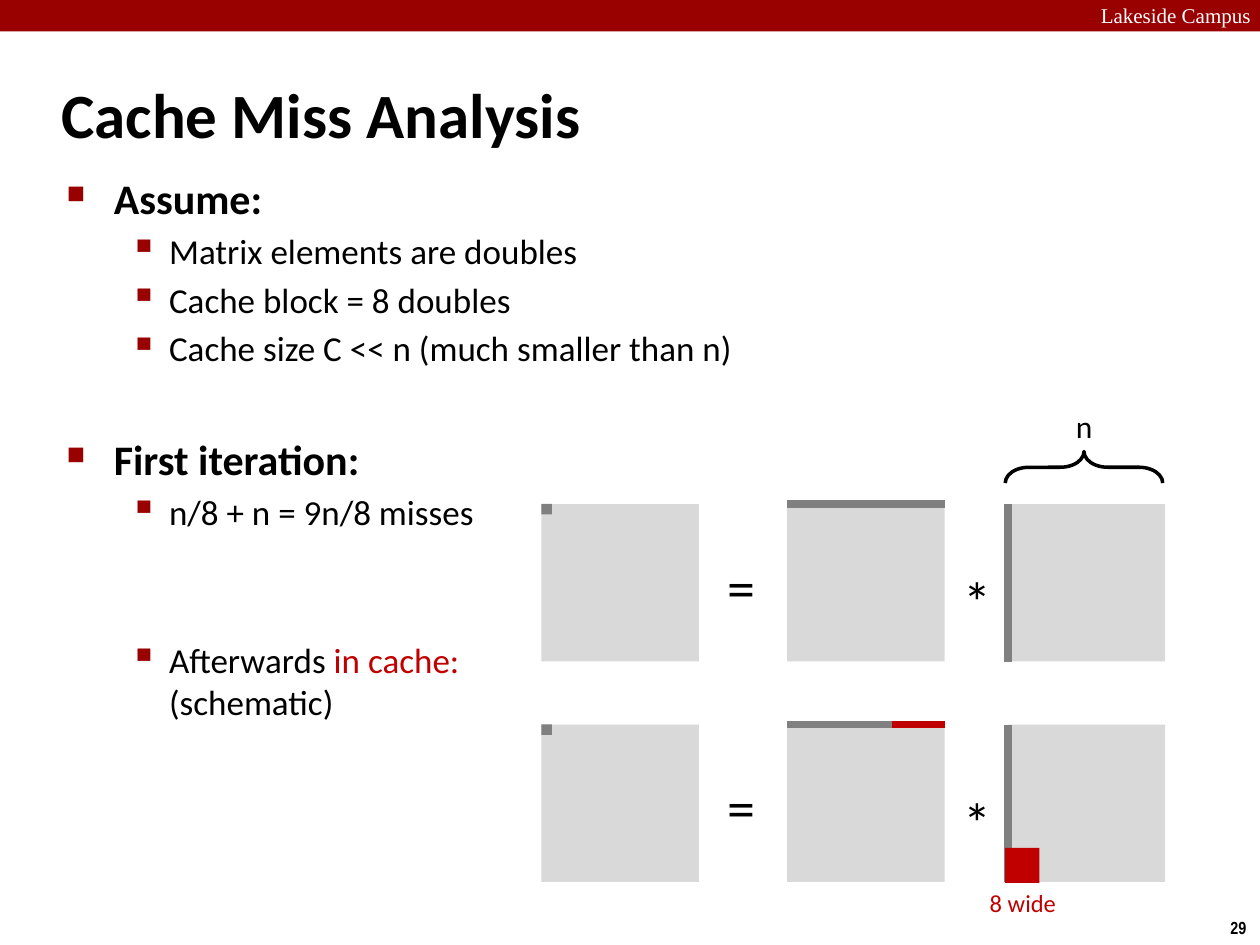
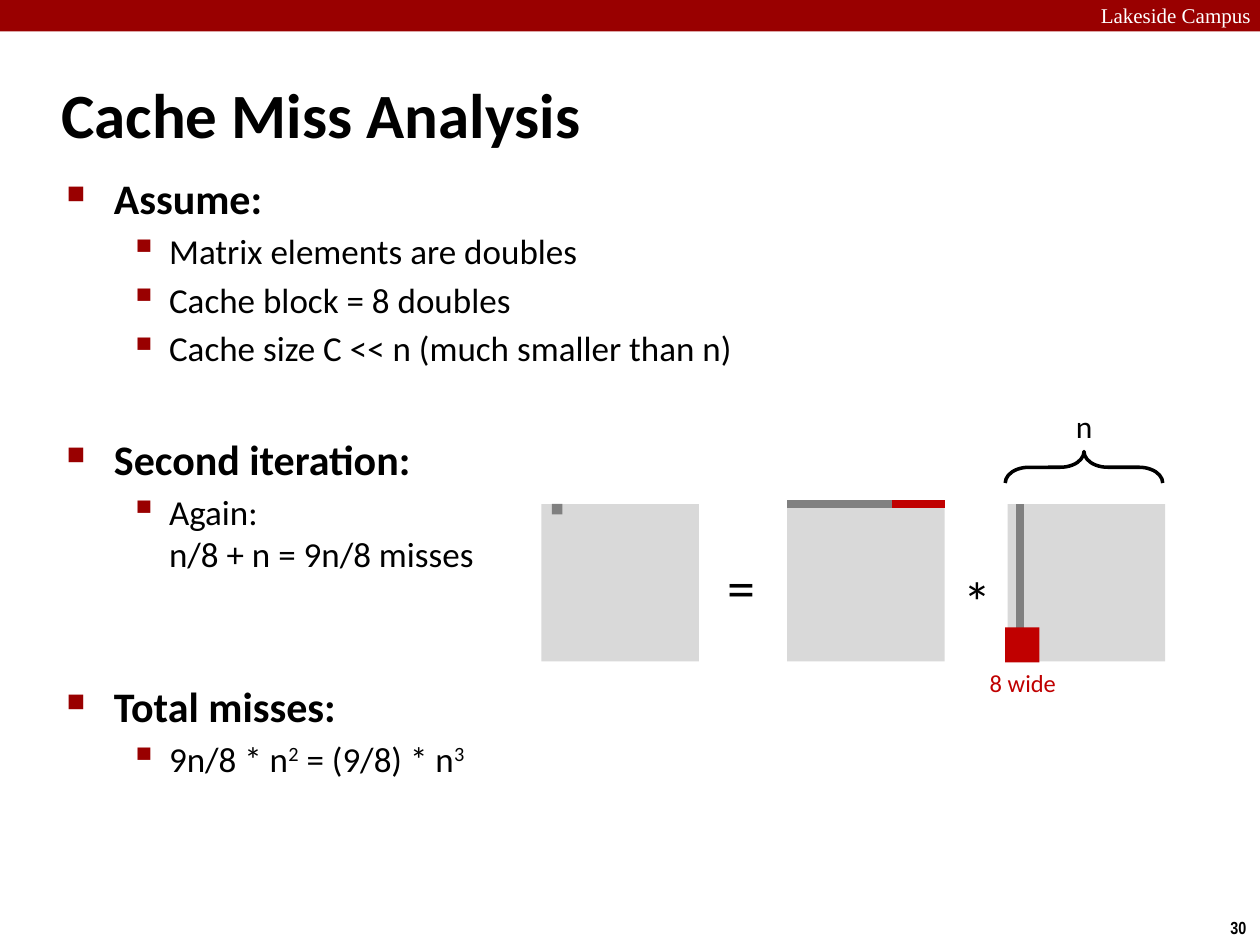
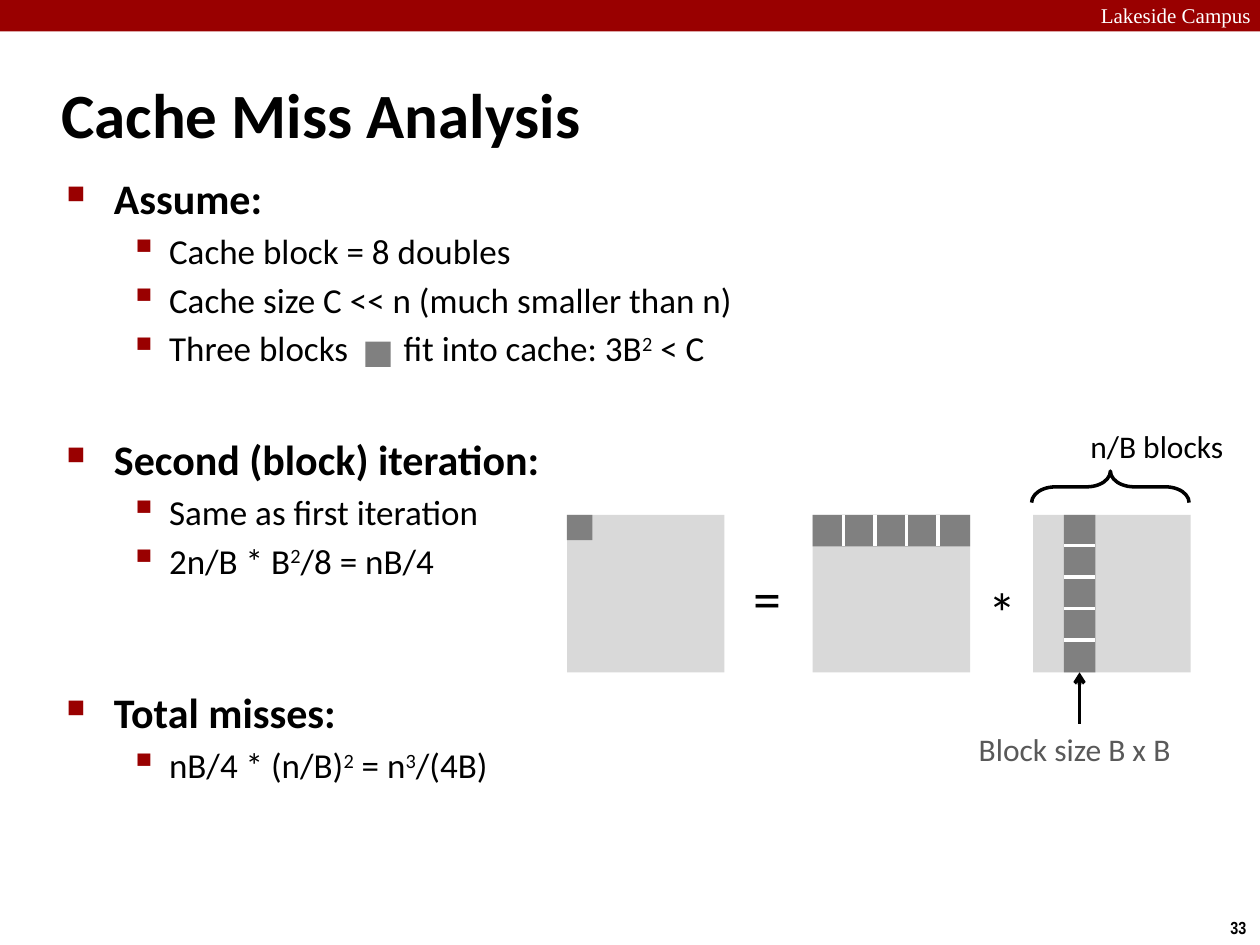
from lxml.etree import SubElement
from pptx import Presentation
from pptx.dml.color import RGBColor
from pptx.enum.shapes import MSO_CONNECTOR, MSO_SHAPE
from pptx.enum.text import MSO_ANCHOR
from pptx.oxml.ns import qn
from pptx.util import Pt

BAND, BLACK, WHITE = "990000", "000000", "FFFFFF"
MATRIX, ACCESSED, CACHED, CAPTION = "D9D9D9", "808080", "C00000", "595959"
SIDE = 90                      # side of a matrix
FACTOR_1, FACTOR_2 = 140.4, 266.4    # offsets of the two factors from the result
BLOCK = 18                     # side of a block in the blocked version
LEAD = 3.8                     # space before an ordinary paragraph
SECTION, SKIP = 37, 60.2       # space before a new section, and after a skipped region

# level: (left margin, hanging, size, bold, bullet, bullet size in percent)
LEVELS = [(27, 27, 24, True, "■", 60), (58.5, 22.5, 20, False, "▪", 110)]

BREAK = ("\v", "break")
SQUARED, CUBED = ("2", "sup"), ("3", "sup")
KEY_GAP = (" ", "gap")


def rgb(color):
    return RGBColor.from_string(color)


def style(r, size, color=BLACK, bold=False, font="Calibri"):
    r.font.name, r.font.size, r.font.bold = font, Pt(size), bold
    r.font.color.rgb = rgb(color)


def add_text(s, text, x, y, w, h, size, wrap=False, **look):
    tf = s.shapes.add_textbox(Pt(x), Pt(y), Pt(w), Pt(h)).text_frame
    tf.word_wrap = wrap
    tf.text = text
    style(tf.paragraphs[0].runs[0], size, **look)
    return tf


def add_rect(s, x, y, w, h, color):
    sp = s.shapes.add_shape(MSO_SHAPE.RECTANGLE, Pt(x), Pt(y), Pt(w), Pt(h))
    sp.shadow.inherit = False
    sp.fill.solid()
    sp.fill.fore_color.rgb = rgb(color)
    sp.line.fill.background()
    return sp


def add_line(s, x1, y1, x2, y2, color, width):
    line = s.shapes.add_connector(MSO_CONNECTOR.STRAIGHT, Pt(x1), Pt(y1), Pt(x2), Pt(y2))
    line.line.color.rgb = rgb(color)
    line.line.width = Pt(width)
    SubElement(line._element.spPr, qn("a:effectLst"))
    return line


def frame(prs, number):
    """Add a slide with the band, the page number and the title."""
    s = prs.slides.add_slide(prs.slide_layouts[6])
    add_rect(s, 0, 0, 720, 18, BAND)
    add_text(s, "Lakeside Campus", 622, -2, 103, 22, 12, wrap=True,
             color=WHITE, font="Times New Roman")
    add_text(s, str(number), 696, 520.5, 24.5, 19.5, 10, bold=True, font="Arial Narrow")
    title = add_text(s, "Cache Miss Analysis", 28, 34.5, 598, 60, 36, wrap=True, bold=True)
    title.vertical_anchor = MSO_ANCHOR.MIDDLE
    return s


def add_bullet(p, level, gap):
    margin, hanging, _, _, char, percent = LEVELS[level]
    p.level = level
    p.space_before = Pt(gap)
    pPr = p._p.get_or_add_pPr()
    pPr.set("marL", str(Pt(margin)))
    pPr.set("indent", str(-Pt(hanging)))
    SubElement(SubElement(pPr, qn("a:buClr")), qn("a:srgbClr"), val=BAND)
    SubElement(pPr, qn("a:buSzPct"), val=str(percent * 1000))
    SubElement(pPr, qn("a:buChar"), char=char)


def add_part(p, part, level):
    """Add a plain string, or a (text, kind) pair, to a paragraph."""
    text, kind = (part, "") if isinstance(part, str) else part
    if kind == "break":
        p.add_line_break()
        return
    r = p.add_run()
    r.text = text
    _, _, size, bold, _, _ = LEVELS[level]
    style(r, size, CACHED if kind == "cached" else BLACK, bold)
    if kind == "sup":
        r._r.get_or_add_rPr().set("baseline", "30000")
    elif kind == "gap":
        r._r.get_or_add_rPr().set("spc", "2710")


def outline(s, items):
    """Fill the body with (level, space before, parts...) items."""
    tf = s.shapes.add_textbox(Pt(31), Pt(95), Pt(622), Pt(240)).text_frame
    tf.word_wrap = True
    for i, (level, gap, *parts) in enumerate(items):
        p = tf.add_paragraph() if i else tf.paragraphs[0]
        add_bullet(p, level, gap)
        for part in parts:
            add_part(p, part, level)


def product(s, x, y):
    """Three matrices: result = factor * factor."""
    for dx in (0, FACTOR_1, FACTOR_2):
        add_rect(s, x + dx, y, SIDE, SIDE, MATRIX)
    add_text(s, "=", x + 99.4, y + 24, 31, 46, 32)
    add_text(s, "*", x + 234, y + 32.4, 31, 46, 32)


def brace(s, x, y, label, label_x, label_w):
    """Brace over a matrix; x, y is the left top corner as it is seen."""
    depth = 18
    turn = (SIDE - depth) / 2
    sp = s.shapes.add_shape(MSO_SHAPE.LEFT_BRACE, Pt(x + turn), Pt(y - turn),
                            Pt(depth), Pt(SIDE))
    sp.rotation = 90
    sp.adjustments[0], sp.adjustments[1] = 0.75, 0.5
    sp.shadow.inherit = False
    sp.fill.background()
    sp.line.color.rgb = rgb(BLACK)
    sp.line.width = Pt(2)
    add_text(s, label, label_x, y - 29, label_w, 29, 18)


def element_product(s, x, y, cell=0, column=0, cached=True):
    """Product marking one element, its row and its column."""
    product(s, x, y)
    row_x, col_x = x + FACTOR_1, x + FACTOR_2
    add_rect(s, x + cell, y, 6, 6, ACCESSED)
    add_line(s, row_x, y, row_x + SIDE, y, ACCESSED, 4.5)
    add_line(s, col_x + column, y, col_x + column, y + SIDE, ACCESSED, 4.5)
    if cached:
        add_line(s, row_x + 60, y, row_x + SIDE, y, CACHED, 4.5)
        add_rect(s, col_x - 1.4, y + 70.5, 19.5, 20, CACHED)
        add_text(s, "8 wide", col_x - 17.3, y + SIDE, 53, 24, 14, color=CACHED)


def block_product(s, x, y):
    """Product marking one block, its row of blocks and its column of blocks."""
    product(s, x, y)
    row_x, col_x = x + FACTOR_1, x + FACTOR_2 + 17.5
    add_rect(s, x, y, 14.5, 14.5, ACCESSED)
    add_rect(s, row_x, y, SIDE, BLOCK, ACCESSED)
    column = add_rect(s, col_x, y, BLOCK, SIDE, ACCESSED)
    for i in range(1, SIDE // BLOCK):
        cut = i * BLOCK - 0.5
        add_line(s, row_x + cut, y, row_x + cut, y + BLOCK, WHITE, 2)
        add_line(s, col_x, y + cut, col_x + BLOCK, y + cut, WHITE, 2)
    middle = col_x + BLOCK / 2
    arrow = add_line(s, middle, y + 119.5, middle, y + SIDE, BLACK, 2)
    arrow.end_connect(column, 2)
    SubElement(arrow.line._get_or_add_ln(), qn("a:tailEnd"), type="arrow")
    add_text(s, "Block size B x B", col_x - 55.7, y + 119.5, 128, 29, 18, color=CAPTION)


def main():
    prs = Presentation()
    prs.slide_width, prs.slide_height = Pt(720), Pt(540)
    block_size = (1, LEAD, "Cache block = 8 doubles")
    cache_size = (1, LEAD, "Cache size C << n (much smaller than n)")
    assume = (0, LEAD, "Assume:")
    total = (0, SKIP, "Total misses:")
    assumptions = [assume, (1, LEAD, "Matrix elements are doubles"), block_size, cache_size]
    x, y = 309.4, 288

    s = frame(prs, 29)
    outline(s, assumptions + [
        (0, SECTION, "First iteration:"),
        (1, LEAD, "n/8 + n = 9n/8 misses"),
        (1, SKIP, "Afterwards ", ("in cache:", "cached"), BREAK, "(schematic)"),
    ])
    element_product(s, x, y, cached=False)
    element_product(s, x, y + 126)
    brace(s, x + 265, y - 30, "n", 607.7, 24.5)

    s = frame(prs, 30)
    outline(s, assumptions + [
        (0, SECTION, "Second iteration:"),
        (1, LEAD, "Again:", BREAK, "n/8 + n = 9n/8 misses"),
        total,
        (1, LEAD, "9n/8 * n", SQUARED, " = (9/8) * n", CUBED),
    ])
    element_product(s, x, y, cell=6, column=7.2)
    brace(s, x + 265, y - 30, "n", 607.7, 24.5)

    s = frame(prs, 33)
    outline(s, [
        assume, block_size, cache_size,
        (1, LEAD, "Three blocks", KEY_GAP, "fit into cache: 3B", SQUARED, " < C"),
        (0, SECTION, "Second (block) iteration:"),
        (1, LEAD, "Same as first iteration"),
        (1, LEAD, "2n/B * B", SQUARED, "/8 = nB/4"),
        total,
        (1, LEAD, "nB/4 * (n/B)", SQUARED, " = n", CUBED, "/(4B)"),
    ])
    add_rect(s, 208.8, 195.2, 14.5, 14.5, ACCESSED)
    block_product(s, 324, 294.2)
    brace(s, 589.5, 269.2, "n/B blocks", 616, 93.6)

    prs.save("out.pptx")


if __name__ == "__main__":
    main()
